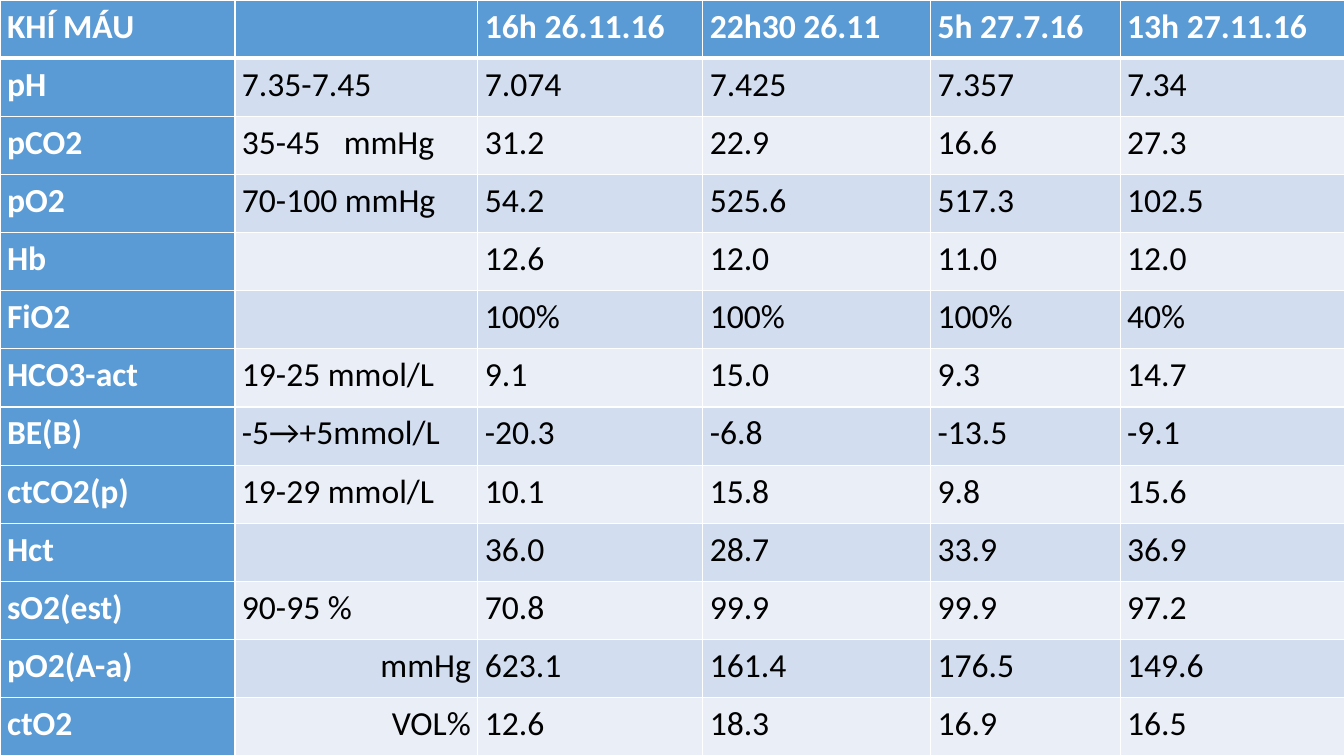
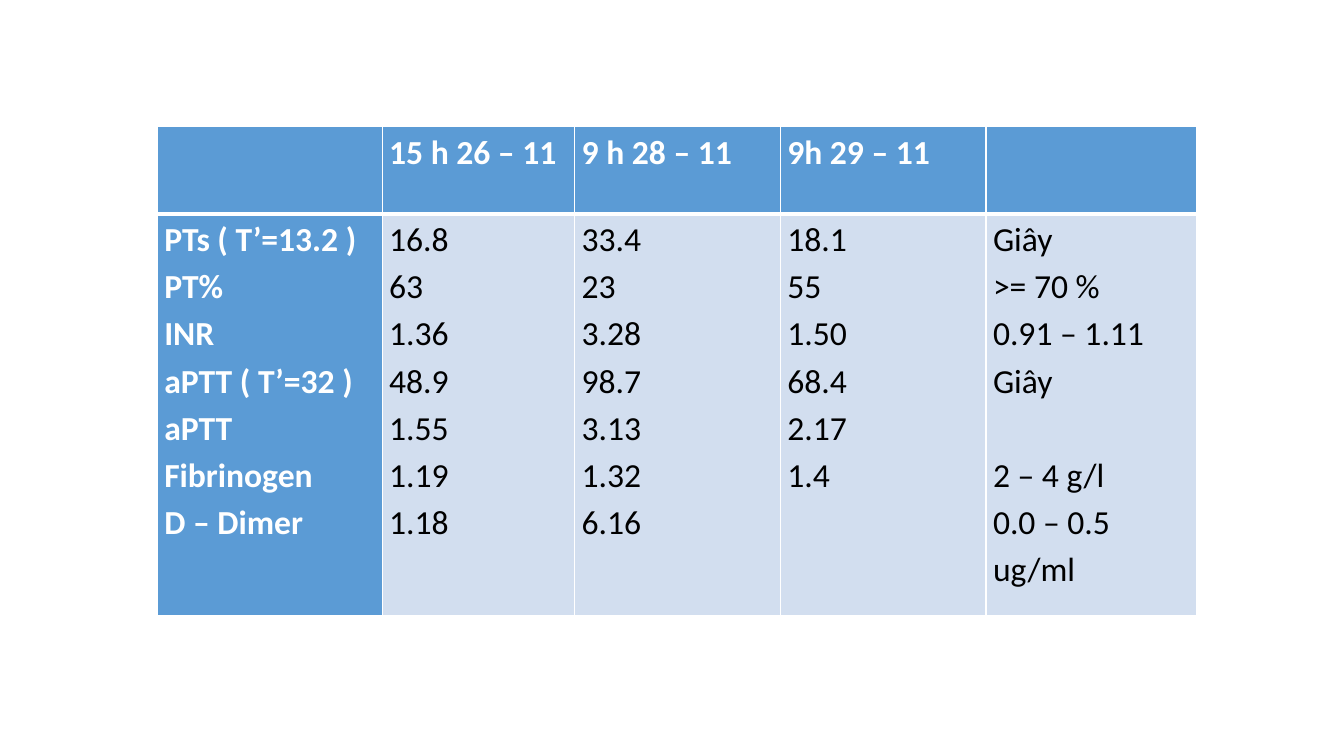
from lxml.etree import SubElement
from pptx import Presentation
from pptx.dml.color import RGBColor
from pptx.enum.text import PP_ALIGN
from pptx.oxml.ns import qn
from pptx.util import Inches, Pt

WHITE, BLACK, BLUE = "FFFFFF", "000000", "5B9BD5"
BANDS = ["D2DEEF", "EAEFF7"]
TEXT_SIZE, LINE_SPACING = 24, 1.15
LINE_HEIGHT = Pt(33.7)
UNIT_TAB = Inches(1.01)

deck = Presentation()
deck.slide_width, deck.slide_height = Inches(13.33), Inches(7.5)


def color(value):
    return RGBColor.from_string(value)


def add_border(cell, side, points):
    properties = cell._tc.get_or_add_tcPr()
    line = SubElement(properties, qn(f"a:{side}"), w=str(Pt(points)))
    SubElement(SubElement(line, qn("a:solidFill")), qn("a:srgbClr"), val=WHITE)


blood_gas = [
    ["KHÍ MÁU", "", "16h 26.11.16", "22h30 26.11", "5h 27.7.16", "13h 27.11.16"],
    ["pH", "7.35-7.45", "7.074", "7.425", "7.357", "7.34"],
    ["pCO2", "35-45\tmmHg", "31.2", "22.9", "16.6", "27.3"],
    ["pO2", "70-100 mmHg", "54.2", "525.6", "517.3", "102.5"],
    ["Hb", "", "12.6", "12.0", "11.0", "12.0"],
    ["FiO2", "", "100%", "100%", "100%", "40%"],
    ["HCO3-act", "19-25 mmol/L", "9.1", "15.0", "9.3", "14.7"],
    ["BE(B)", "-5→+5mmol/L", "-20.3", "-6.8", "-13.5", "-9.1"],
    ["ctCO2(p)", "19-29 mmol/L", "10.1", "15.8", "9.8", "15.6"],
    ["Hct", "", "36.0", "28.7", "33.9", "36.9"],
    ["sO2(est)", "90-95 %", "70.8", "99.9", "99.9", "97.2"],
    ["pO2(A-a)", "mmHg", "623.1", "161.4", "176.5", "149.6"],
    ["ctO2", "VOL%", "12.6", "18.3", "16.9", "16.5"],
]
coagulation = [
    ["", "15 h 26 – 11", "9 h 28 – 11", "9h 29 – 11", ""],
    [
        "PTs ( T’=13.2 )\nPT%\nINR\naPTT ( T’=32 )\naPTT\nFibrinogen\nD – Dimer",
        "16.8\n63\n1.36\n48.9\n1.55\n1.19\n1.18",
        "33.4\n23\n3.28\n98.7\n3.13\n1.32\n6.16",
        "18.1\n55\n1.50\n68.4\n2.17\n1.4",
        "Giây\n>= 70 %\n0.91 – 1.11\nGiây\n2 – 4 g/l\n0.0 – 0.5 ug/ml",
    ],
]

# left, top, column widths, row heights, contents
layouts = [
    (0, 0, [2.33, 2.41, 2.23, 2.26, 1.88, 2.23], [7.5 / 13] * 13, blood_gas),
    (1.56, 1.25, [2.23, 1.91, 2.04, 2.04, 2.09], [0.87, 3.99], coagulation),
]

for left, top, widths, heights, contents in layouts:
    page = deck.slides.add_slide(deck.slide_layouts[6])
    table = page.shapes.add_table(
        len(heights), len(widths), Inches(left), Inches(top),
        Inches(sum(widths)), Inches(sum(heights))).table
    table.first_col = True
    for column, width in zip(table.columns, widths):
        column.width = Inches(width)
    for row_index, texts in enumerate(contents):
        table.rows[row_index].height = Inches(heights[row_index])
        for column_index, text in enumerate(texts):
            cell = table.cell(row_index, column_index)
            heading = row_index == 0 or column_index == 0
            add_border(cell, "lnL", 1)
            add_border(cell, "lnR", 1)
            add_border(cell, "lnT", 3 if row_index == 1 else 1)
            add_border(cell, "lnB", 3 if row_index == 0 else 1)
            cell.fill.solid()
            cell.fill.fore_color.rgb = color(BLUE if heading else BANDS[(row_index - 1) % 2])
            cell.margin_left = cell.margin_right = Inches(0.07)
            cell.margin_top = cell.margin_bottom = 0
            cell.text_frame.text = text
            for para in cell.text_frame.paragraphs:
                para.line_spacing = LINE_SPACING
                if para.text in ("mmHg", "VOL%"):
                    para.alignment = PP_ALIGN.RIGHT
                if para.text == "2 – 4 g/l":
                    para.space_before = LINE_HEIGHT
                if "\t" in para.text:
                    tabs = SubElement(para._p.get_or_add_pPr(), qn("a:tabLst"))
                    SubElement(tabs, qn("a:tab"), pos=str(UNIT_TAB), algn="l")
                para.font.name = "Calibri"
                para.font.size = Pt(TEXT_SIZE)
                para.font.bold = heading
                para.font.color.rgb = color(WHITE if heading else BLACK)

deck.save("out.pptx")
